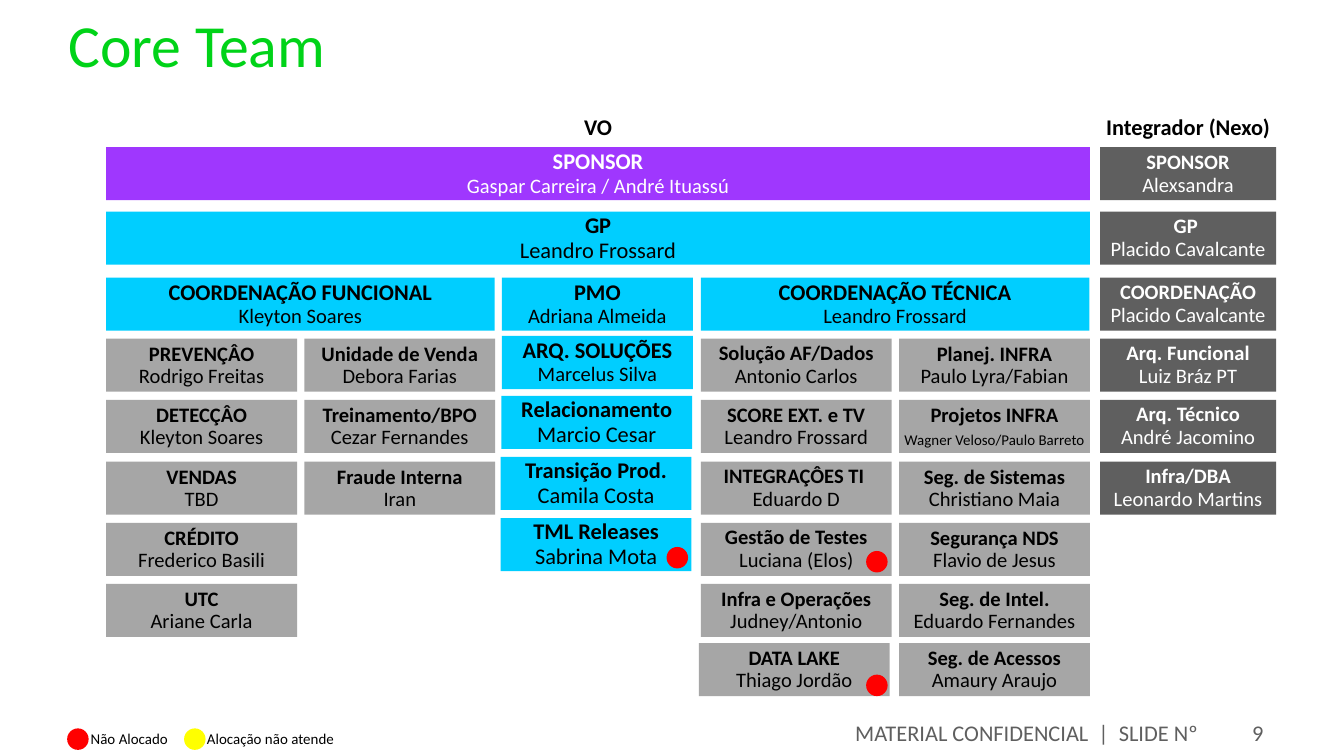
import pptx
import pptx.dml.color
import pptx.enum.shapes
import pptx.enum.text
import pptx.util

PX = 4572
SHAPE = pptx.enum.shapes.MSO_SHAPE
ALIGN = pptx.enum.text.PP_ALIGN
ANCHOR = pptx.enum.text.MSO_ANCHOR
PURPLE, CYAN, GREY, DARK = "9F37FE", "00CEFF", "A6A6A6", "5F5F5F"
BLACK, WHITE, RED, YELLOW = "000000", "FFFFFF", "FF0000", "FFFF00"
FIXED = pptx.util.Pt(12)
RELATIVE = 0.93

presentation = pptx.Presentation()
presentation.slide_width = 2000 * PX
presentation.slide_height = 1125 * PX
slide = presentation.slides.add_slide(presentation.slide_layouts[6])


def color(hex_string):
    return pptx.dml.color.RGBColor.from_string(hex_string)


def write(shape, lines, ink, align, anchor, margins, wrap=False):
    frame = shape.text_frame
    side, edge = margins
    frame_format = {
        "word_wrap": wrap,
        "vertical_anchor": anchor,
        "margin_left": side * PX,
        "margin_right": side * PX,
        "margin_top": edge * PX,
        "margin_bottom": edge * PX,
    }
    for name, value in frame_format.items():
        setattr(frame, name, value)
    for index, (text, size, bold, spacing) in enumerate(lines):
        paragraph = frame.add_paragraph() if index else frame.paragraphs[0]
        paragraph.alignment = align
        paragraph.line_spacing = spacing
        run = paragraph.add_run()
        run.text = text
        font_format = {"name": "Calibri", "size": pptx.util.Pt(size), "bold": bold}
        for name, value in font_format.items():
            setattr(run.font, name, value)
        run.font.color.rgb = color(ink)


labels = [
    (102, 12, 1796, 156, "Core Team", 32, False, "00D318", ALIGN.LEFT, ANCHOR.TOP, (0, 0), True, None),
    (100, 1066, 1703, 48, "MATERIAL CONFIDENCIAL  |  SLIDE Nº", 12, False, DARK,
     ALIGN.RIGHT, ANCHOR.MIDDLE, (20, 10), True, None),
    (1804, 1066, 96, 48, "9", 12, False, DARK, ALIGN.RIGHT, ANCHOR.MIDDLE, (20, 10), True, None),
    (127, 1074, 140, 54, "Não Alocado", 8, False, BLACK, ALIGN.LEFT, ANCHOR.MIDDLE, (8, 0), False, RELATIVE),
    (300, 1078, 242, 46, "Alocação não atende", 8, False, BLACK,
     ALIGN.LEFT, ANCHOR.MIDDLE, (8, 0), False, RELATIVE),
    (158, 155, 1464, 64, "VO", 12, True, BLACK, ALIGN.CENTER, ANCHOR.BOTTOM, (8, 10), False, RELATIVE),
    (1637, 155, 262, 64, "Integrador (Nexo)", 12, True, BLACK,
     ALIGN.CENTER, ANCHOR.BOTTOM, (8, 10), False, RELATIVE),
]
for left, top, width, height, text, size, bold, ink, align, anchor, margins, wrap, spacing in labels:
    text_box = slide.shapes.add_textbox(left * PX, top * PX, width * PX, height * PX)
    write(text_box, [(text, size, bold, spacing)], ink, align, anchor, margins, wrap)

boxes = [
    (158, 219, 1464, PURPLE, "SPONSOR", "Gaspar Carreira / André Ituassú", 11),
    (158, 315, 1464, CYAN, "GP", "Leandro Frossard", 12),
    (158, 413, 578, CYAN, "COORDENAÇÃO FUNCIONAL", "Kleyton Soares", 11),
    (747, 413, 284, CYAN, "PMO", "Adriana Almeida", 11),
    (1043, 413, 578, CYAN, "COORDENAÇÃO TÉCNICA", "Leandro Frossard", 11),
    (747, 500, 284, CYAN, "ARQ. SOLUÇÕES", "Marcelus Silva", 11),
    (746, 589, 284, CYAN, "Relacionamento", "Marcio Cesar", 12),
    (745, 680, 284, CYAN, "Transição Prod.", "Camila Costa", 12),
    (745, 771, 284, CYAN, "TML Releases", "Sabrina Mota", 12),
    (1040, 957, 284, GREY, "DATA LAKE", "Thiago Jordão", 11),
]

team_tops = [504, 595, 687, 778, 869, 957]
integrator_tops = [219, 315, 413] + team_tops[:3]
columns = [
    (158, 284, GREY, team_tops, [
        ("PREVENÇÂO", "Rodrigo Freitas"), ("DETECÇÂO", "Kleyton Soares"), ("VENDAS", "TBD"),
        ("CRÉDITO", "Frederico Basili"), ("UTC", "Ariane Carla")]),
    (453, 284, GREY, team_tops, [
        ("Unidade de Venda", "Debora Farias"), ("Treinamento/BPO", "Cezar Fernandes"),
        ("Fraude Interna", "Iran")]),
    (1043, 284, GREY, team_tops, [
        ("Solução AF/Dados", "Antonio Carlos"), ("SCORE EXT. e TV", "Leandro Frossard"),
        ("INTEGRAÇÔES TI ", "Eduardo D"), ("Gestão de Testes", "Luciana (Elos)"),
        ("Infra e Operações", "Judney/Antonio")]),
    (1338, 284, GREY, team_tops, [
        ("Planej. INFRA", "Paulo Lyra/Fabian"), ("Projetos INFRA", "Wagner Veloso/Paulo Barreto"),
        ("Seg. de Sistemas", "Christiano Maia"), ("Segurança NDS", "Flavio de Jesus"),
        ("Seg. de Intel.", "Eduardo Fernandes"), ("Seg. de Acessos", "Amaury Araujo")]),
    (1637, 262, DARK, integrator_tops, [
        ("SPONSOR", "Alexsandra"), ("GP ", "Placido Cavalcante"),
        ("COORDENAÇÃO", "Placido Cavalcante"), ("Arq. Funcional", "Luiz Bráz PT"),
        ("Arq. Técnico", "André Jacomino"), ("Infra/DBA", "Leonardo Martins")]),
]
for left, width, fill, tops, members in columns:
    for top, (role, person) in zip(tops, members):
        person_size = 8 if role == "Projetos INFRA" else 11
        boxes.append((left, top, width, fill, role, person, person_size))

relative_texts = {"INTEGRAÇÔES TI ", "Eduardo D", "Antonio Carlos", "Luciana (Elos)"}
for left, top, width, fill, role, person, person_size in boxes:
    shape = slide.shapes.add_shape(SHAPE.RECTANGLE, left * PX, top * PX, width * PX, 79 * PX)
    shape.shadow.inherit = False
    shape.fill.solid()
    shape.fill.fore_color.rgb = color(fill)
    shape.line.fill.background()
    role_size = 12 if fill in (PURPLE, CYAN) else 11
    ink = WHITE if fill in (PURPLE, DARK) else BLACK
    lines = []
    for text, size, bold in [(role, role_size, True), (person, person_size, False)]:
        fixed = fill == GREY and text not in relative_texts
        if role == "COORDENAÇÃO FUNCIONAL" and not bold:
            fixed = True
        lines.append((text, size, bold, FIXED if fixed else RELATIVE))
    write(shape, lines, ink, ALIGN.CENTER, ANCHOR.MIDDLE, (8, 0 if fill == GREY else 10))

markers = [(100, 1084, RED), (274, 1084, YELLOW), (1289, 820, RED), (1289, 1004, RED), (992, 814, RED)]
for left, top, fill in markers:
    marker = slide.shapes.add_shape(SHAPE.OVAL, left * PX, top * PX, 32 * PX, 32 * PX)
    marker.shadow.inherit = False
    marker.fill.solid()
    marker.fill.fore_color.rgb = color(fill)
    marker.line.fill.background()

presentation.save("out.pptx")
